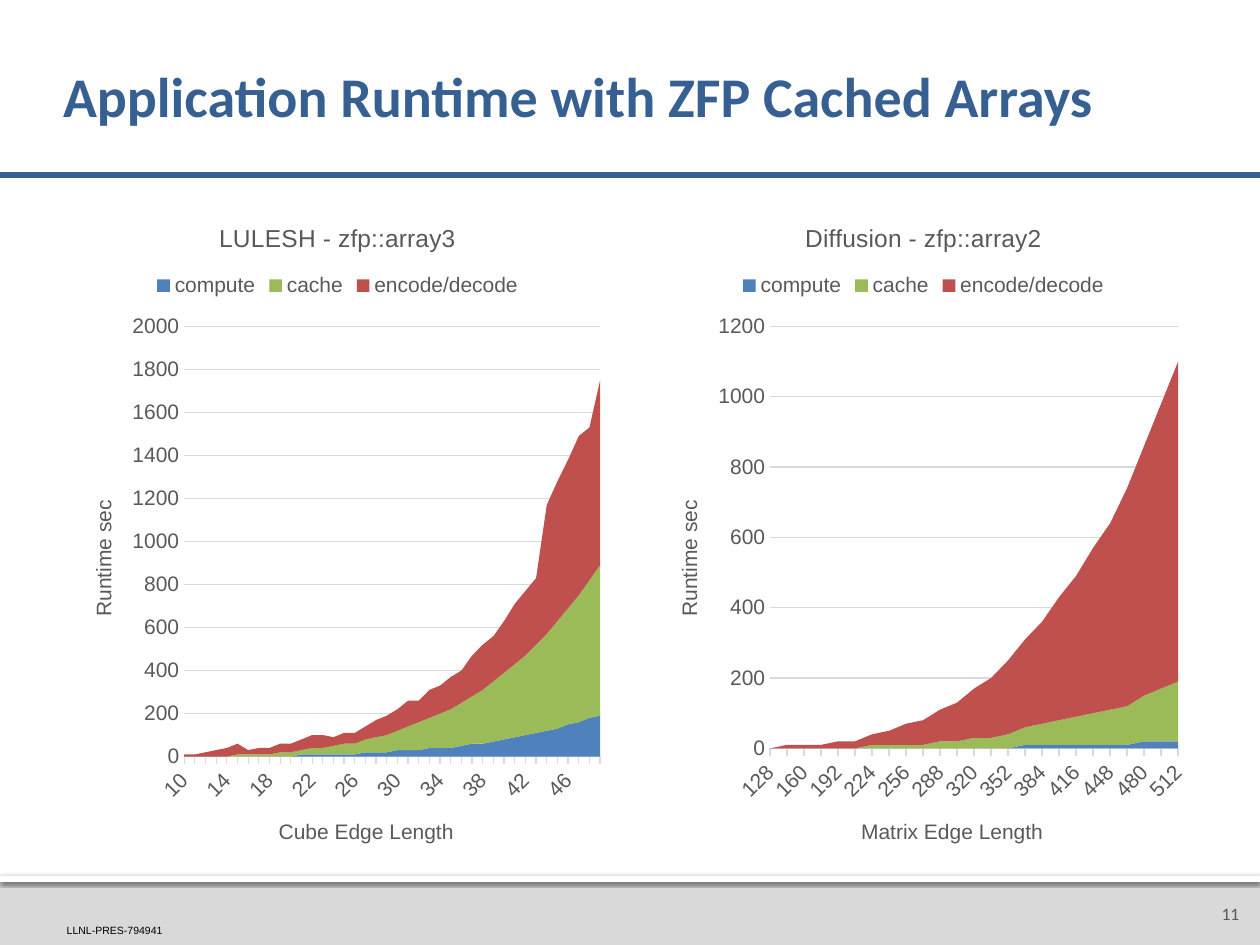
from lxml import etree
from pptx import Presentation
from pptx import util as u
from pptx.chart.data import CategoryChartData
from pptx.dml.color import RGBColor
from pptx.enum import chart as ch, shapes, text
from pptx.oxml import parse_xml
from pptx.oxml.ns import nsdecls, qn

NAVY = RGBColor(0x37, 0x60, 0x92)
GREY = RGBColor(0x59, 0x59, 0x59)
PALE = RGBColor(0xD9, 0xD9, 0xD9)
WHITE = RGBColor(0xFF, 0xFF, 0xFF)
BLACK = RGBColor(0, 0, 0)
SERIES_COLORS = {
    "compute": RGBColor(0x4F, 0x81, 0xBD),
    "cache": RGBColor(0x9B, 0xBB, 0x59),
    "encode/decode": RGBColor(0xC0, 0x50, 0x4D),
}


class Deck:
    """Slide on a grid of 20 columns and 15 rows."""

    COLUMNS, ROWS = 20, 15
    HEADING, BODY = "Calibri", "Arial"

    def __init__(self):
        self.prs = Presentation()
        self.prs.slide_width, self.prs.slide_height = u.Inches(10), u.Inches(7.5)
        self.slide = self.prs.slides.add_slide(self.prs.slide_layouts[5])

    def x(self, columns):
        return round(self.prs.slide_width * columns / self.COLUMNS)

    def y(self, rows):
        return round(self.prs.slide_height * rows / self.ROWS)

    def box(self, col, row, cols, rows):
        return self.x(col), self.y(row), self.x(cols), self.y(rows)

    def style(self, font, size, color, name=BODY, bold=False):
        font.size, font.name, font.bold = u.Pt(size), name, bold
        font.color.rgb = color

    def set_words(self, shape, words, insets, anchor, align, wrap, **style):
        frame = shape.text_frame
        frame.text = words
        frame.word_wrap, frame.vertical_anchor = wrap, anchor
        frame.auto_size = text.MSO_AUTO_SIZE.NONE
        (frame.margin_left, frame.margin_top,
         frame.margin_right, frame.margin_bottom) = map(u.Inches, insets)
        paragraph = frame.paragraphs[0]
        paragraph.alignment = align
        self.style(paragraph.runs[0].font, **style)
        return paragraph

    def title(self, words, *place):
        heading = self.slide.shapes.title
        heading.left, heading.top, heading.width, heading.height = self.box(*place)
        paragraph = self.set_words(
            heading, words, (0, 0.05, 0.05, 0.05), text.MSO_ANCHOR.MIDDLE,
            text.PP_ALIGN.LEFT, True, size=32, color=NAVY, name=self.HEADING, bold=True)
        paragraph.line_spacing = 0.9

    def label(self, words, *place, insets=(0, 0, 0, 0), anchor=text.MSO_ANCHOR.BOTTOM,
              align=text.PP_ALIGN.LEFT, **style):
        label = self.slide.shapes.add_textbox(*self.box(*place))
        self.set_words(label, words, insets, anchor, align, False, **style)

    def band(self, color, *place, shaded=False):
        band = self.slide.shapes.add_shape(
            shapes.MSO_SHAPE.RECTANGLE, *self.box(*place))
        band.shadow.inherit = False
        band.fill.solid()
        band.fill.fore_color.rgb = color
        band.line.fill.background()
        if shaded:
            band._element.spPr.find(qn("a:effectLst")).append(parse_xml(
                f'<a:outerShdw {nsdecls("a")} blurRad="{u.Pt(2.5)}" dist="{u.Pt(0.8)}" '
                'dir="5400000" rotWithShape="0"><a:srgbClr val="000000">'
                '<a:alpha val="60000"/></a:srgbClr></a:outerShdw>'))

    def rule(self, row, color, width):
        rule = self.slide.shapes.add_connector(
            shapes.MSO_CONNECTOR.STRAIGHT, 0, self.y(row), self.x(self.COLUMNS), self.y(row))
        rule.line.color.rgb, rule.line.width = color, u.Pt(width)
        etree.SubElement(rule._element.spPr, qn("a:effectLst"))

    def chart_text(self, owner, words, size):
        frame = owner.text_frame
        frame.text = words
        self.style(frame.paragraphs[0].runs[0].font, size, GREY)

    def area_chart(self, heading, edge, categories, series, top, step, skip, *place):
        data = CategoryChartData(number_format="0")
        data.categories = [str(c) for c in categories]
        for name, values in zip(SERIES_COLORS, series):
            data.add_series(name, values)
        chart = self.slide.shapes.add_chart(
            ch.XL_CHART_TYPE.AREA_STACKED, *self.box(*place), data).chart
        self.style(chart.font, 10, BLACK)
        self.chart_text(chart.chart_title, heading, 14)
        chart.chart_title.include_in_layout = False

        chart.has_legend = True
        chart.legend.position = ch.XL_LEGEND_POSITION.TOP
        chart.legend.include_in_layout = False
        self.style(chart.legend.font, 12, GREY)

        plot = chart.plots[0]
        plot.vary_by_categories = False
        for part in plot.series:
            part.format.fill.solid()
            part.format.fill.fore_color.rgb = SERIES_COLORS[part.name]

        lengths, runtime = chart.category_axis, chart.value_axis
        for axis, words in ((lengths, edge), (runtime, "Runtime sec")):
            self.chart_text(axis.axis_title, words, 12)
            self.style(axis.tick_labels.font, 12, GREY)
            axis.minor_tick_mark = ch.XL_TICK_MARK.NONE
        lengths.has_major_gridlines = False
        lengths.major_tick_mark = ch.XL_TICK_MARK.OUTSIDE
        runtime.major_tick_mark = ch.XL_TICK_MARK.NONE
        runtime.minimum_scale, runtime.maximum_scale = 0, top
        runtime.major_unit = step
        runtime.format.line.fill.background()
        for line in (lengths.format.line, runtime.major_gridlines.format.line):
            line.color.rgb, line.width = PALE, u.Pt(0.75)

        # Slanted labels, one for every few categories
        lengths._element.find(qn("c:txPr")).find(qn("a:bodyPr")).set("rot", "-2700000")
        lengths._element.find(qn("c:noMultiLvlLbl")).addprevious(
            parse_xml(f'<c:tickLblSkip {nsdecls("c")} val="{skip}"/>'))


LULESH = (
    [0] * 11 + [10] * 6 + [20] * 3 + [30] * 3 + [40] * 3
    + [50, 60, 60, 70, 80, 90, 100, 110, 120, 130, 150, 160, 180, 190],
    [0, 0, 0, 0, 0, 10, 10, 10, 10, 20, 20, 20, 30, 30, 40, 50, 50, 60, 70, 80,
     90, 110, 130, 140, 160, 180, 200, 220, 250, 280, 310, 340, 370, 410, 450,
     500, 540, 590, 640, 700],
    [10, 10, 20, 30, 40, 50, 20, 30, 30, 40, 40, 50, 60, 60, 40, 50, 50, 60, 80, 90,
     100, 120, 100, 130, 130, 150, 150, 190, 210, 210, 240, 280, 300, 310, 600,
     650, 690, 740, 710, 860],
)
DIFFUSION = (
    [0] * 15 + [10] * 7 + [20] * 3,
    [0, 0, 0, 0, 0, 0, 10, 10, 10, 10, 20, 20, 30, 30, 40, 50, 60, 70, 80, 90,
     100, 110, 130, 150, 170],
    [0, 10, 10, 10, 20, 20, 30, 40, 60, 70, 90, 110, 140, 170, 210, 250, 290, 350,
     400, 470, 530, 620, 710, 810, 910],
)


def main():
    deck = Deck()

    # Footer band, page number and document number
    deck.band(PALE, 0, 13.9, 20, 1.1)
    deck.band(WHITE, 0, 13.9, 20, 0.1, shaded=True)
    deck.label("11", 19, 14, 1, 1, insets=(0.04, 0.05, 0.01, 0.05),
               anchor=text.MSO_ANCHOR.MIDDLE, align=text.PP_ALIGN.CENTER,
               size=10, color=GREY, name=deck.HEADING)
    deck.label("LLNL-PRES-794941", 1.06, 14.66, 1.92, 0.2, size=6, color=BLACK)

    # Title and rule
    deck.title("Application Runtime with ZFP Cached Arrays", 1, 0.48, 18, 2.2)
    deck.rule(2.78, NAVY, 3)

    # Runtime charts side by side
    deck.area_chart("LULESH - zfp::array3", "Cube Edge Length", range(10, 50),
                    LULESH, 2000, 200, 4, 1.02, 3.14, 8.68, 10.68)
    deck.area_chart("Diffusion - zfp::array2", "Matrix Edge Length", range(128, 513, 16),
                    DIFFUSION, 1200, 200, 2, 10.32, 3.14, 8.68, 10.68)

    deck.prs.save("out.pptx")


if __name__ == "__main__":
    main()
